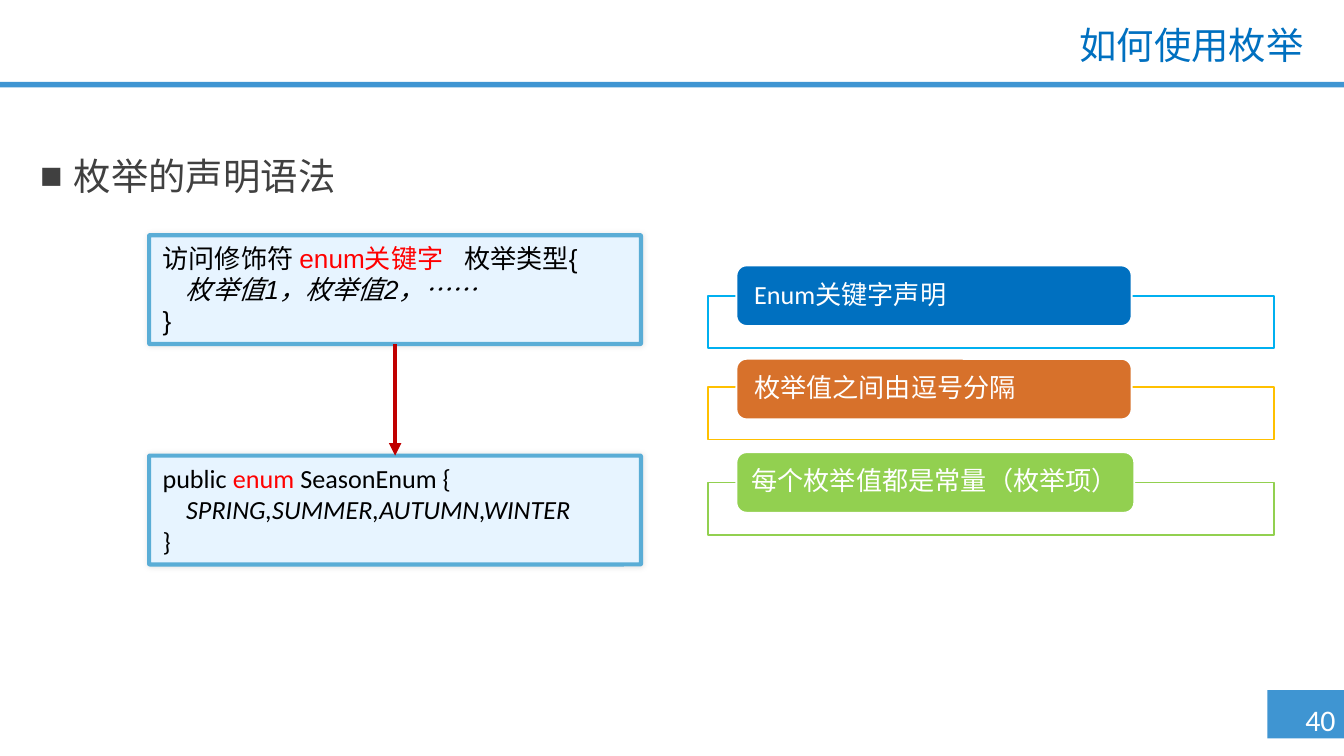
from lxml.etree import SubElement
from pptx import Presentation
from pptx.dml.color import RGBColor
from pptx.enum.shapes import MSO_CONNECTOR, MSO_SHAPE
from pptx.enum.text import MSO_ANCHOR, PP_ALIGN
from pptx.oxml.ns import qn
from pptx.util import Inches, Pt

deck = Presentation()
deck.slide_width = Inches(10)
deck.slide_height = deck.slide_width * 9 // 16
slide = deck.slides.add_slide(deck.slide_layouts[6])
cell = deck.slide_width // 100


def color(code):
    return RGBColor.from_string(code)


def block(kind, left, top, width, height, fill=None, line=None, weight=1):
    area = [round(cell * n) for n in (left, top, width, height)]
    if kind is None:
        box = slide.shapes.add_textbox(*area)
    else:
        box = slide.shapes.add_shape(kind, *area)
        box.shadow.inherit = False
        box.fill.solid()
        box.fill.fore_color.rgb = color(fill)
        if line:
            box.line.color.rgb = color(line)
            box.line.width = Pt(weight)
        else:
            box.line.fill.background()
    box.text_frame.word_wrap = True
    return box


block(MSO_SHAPE.RECTANGLE, 94.3, 51.35, 5.7, 3.6, "3F95D2")
block(MSO_SHAPE.RECTANGLE, 0, 6.1, 100, 0.4, "3F95D2")

page_number = block(None, 95.9, 51.75, 5.2, 3.7)
page_number.text_frame.word_wrap = False
title = block(None, 24, 1.55, 74, 4)
topic = block(None, 2, 10.8, 94.5, 40.2)
for part, words, size, font, ink, align in (
    (page_number, "40 ", 16, "Calibri", "FFFFFF", PP_ALIGN.CENTER),
    (title, "如何使用枚举", 20, "Arial", "0070C0", PP_ALIGN.RIGHT),
    (topic, "枚举的声明语法", 20, "Noto Sans CJK SC", "404040", PP_ALIGN.LEFT),
):
    part.text_frame.text = words
    paragraph = part.text_frame.paragraphs[0]
    paragraph.alignment = align
    font_style = paragraph.runs[0].font
    font_style.name, font_style.size = font, Pt(size)
    font_style.color.rgb = color(ink)

title.text_frame.paragraphs[0].line_spacing = 0.9
topic_line = topic.text_frame.paragraphs[0]
topic_line.line_spacing = Pt(25)
topic_format = topic_line._p.get_or_add_pPr()
topic_format.set("marL", str(Inches(0.25)))
topic_format.set("indent", str(-Inches(0.25)))
SubElement(topic_format, qn("a:buFont"), typeface="Arial")
SubElement(topic_format, qn("a:buChar"), char="■")

code_samples = (
    (17.5, "Arial", ("访问修饰符 ", "enum关键字", " ", "枚举类型{"), "    枚举值1，枚举值2，……"),
    (33.9, "Calibri", ("public ", "enum ", "SeasonEnum {"), "    SPRING,SUMMER,AUTUMN,WINTER"),
)
code_boxes = []
for top, font, declaration, values in code_samples:
    code_box = block(MSO_SHAPE.ROUNDED_RECTANGLE, 11.1, top, 36.6, 8.1, "E7F4FF", "5AADD6", 2.25)
    code_box.adjustments[0] = 0.008
    effects = code_box._element.spPr.find(qn("a:effectLst"))
    glow = SubElement(effects, qn("a:outerShdw"), blurRad=str(Pt(3)), dist="0", dir="0")
    shade = SubElement(glow, qn("a:srgbClr"), val="000000")
    SubElement(shade, qn("a:alpha"), val="10000")
    frame = code_box.text_frame
    frame.vertical_anchor = MSO_ANCHOR.TOP
    for index, pieces in enumerate((declaration, (values,), ("}",))):
        paragraph = frame.paragraphs[0] if index == 0 else frame.add_paragraph()
        paragraph.alignment = PP_ALIGN.LEFT
        for piece in pieces:
            run = paragraph.add_run()
            run.text = piece
            run.font.name, run.font.size = font, Pt(14)
            run.font.italic = index == 1
            run.font.color.rgb = color("FF0000" if piece.startswith("enum") else "000000")
            if piece == " ":
                run.font._element.set("spc", "780")
    code_boxes.append(code_box)

syntax, example = code_boxes
arrow = slide.shapes.add_connector(MSO_CONNECTOR.STRAIGHT, 0, 0, 0, 0)
arrow.begin_connect(syntax, 2)
arrow.end_connect(example, 0)
arrow.line.color.rgb = color("C00000")
arrow.line.width = Pt(2.25)
SubElement(arrow.line._get_or_add_ln(), qn("a:tailEnd"), type="triangle")
SubElement(arrow._element.spPr, qn("a:effectLst"))

rules = (
    ("Enum关键字声明", "0070C0", "00B0F0", 22, 29.4, 0.11),
    ("枚举值之间由逗号分隔", "D7712B", "FFC000", 28.8, 29.4, 0.11),
    ("每个枚举值都是常量（枚举项）", "92D050", "92D050", 35.9, 29.6, 0.09),
)
for index, (words, fill, outline, top, width, inset) in enumerate(rules):
    block(MSO_SHAPE.RECTANGLE, 52.7, top, 42.1, 3.9, "FFFFFF", outline)
    label_top = 19.75 + index * 6.95
    label = block(MSO_SHAPE.ROUNDED_RECTANGLE, 54.8, label_top, width, 4.5, fill, "FFFFFF")
    frame = label.text_frame
    frame.margin_left = frame.margin_right = Inches(inset)
    frame.margin_top = frame.margin_bottom = 0
    frame.vertical_anchor = MSO_ANCHOR.MIDDLE
    frame.text = words
    paragraph = frame.paragraphs[0]
    paragraph.alignment = PP_ALIGN.LEFT
    paragraph.line_spacing = 0.9
    font_style = paragraph.runs[0].font
    font_style.name, font_style.size = "Calibri", Pt(14)
    font_style.color.rgb = color("FFFFFF")

deck.save("out.pptx")
